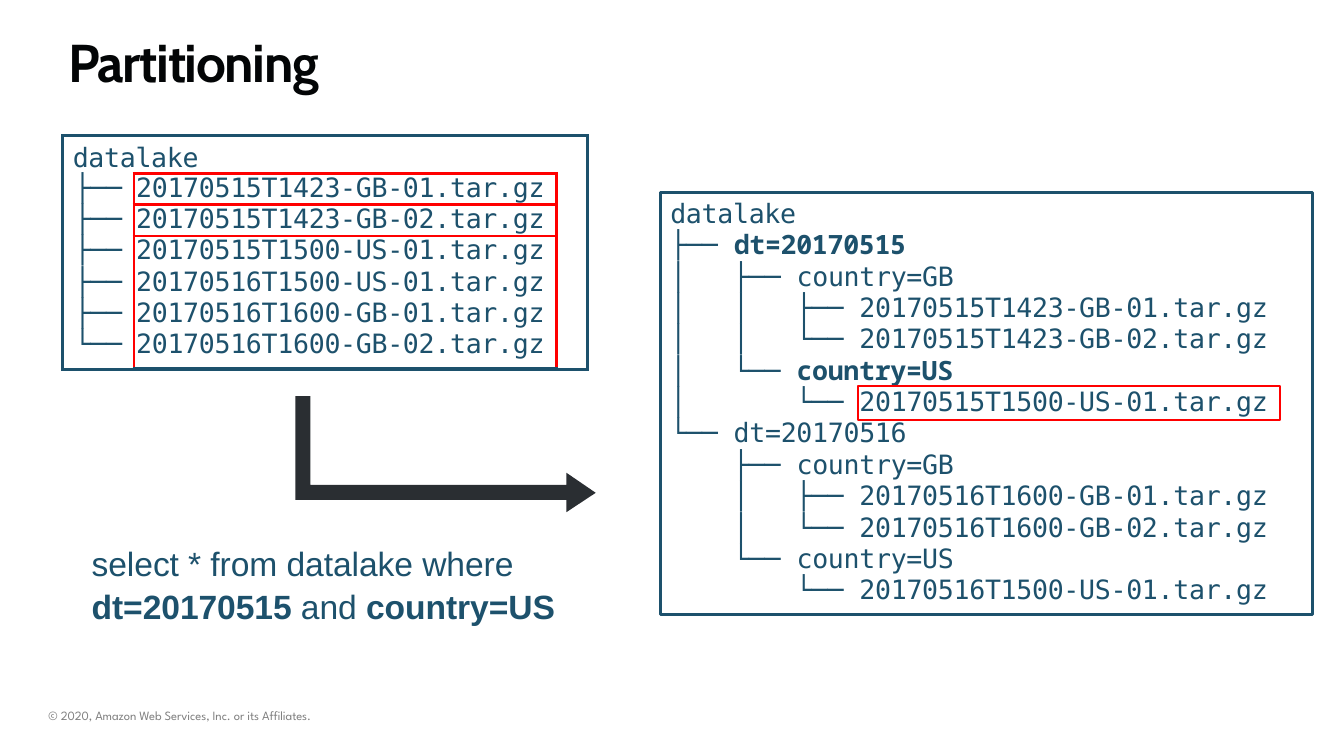
from dataclasses import dataclass

from lxml.etree import SubElement
from pptx import Presentation
from pptx.dml.color import RGBColor
from pptx.enum.shapes import MSO_SHAPE
from pptx.enum.text import MSO_ANCHOR, MSO_AUTO_SIZE, PP_ALIGN
from pptx.oxml.ns import qn
from pptx.util import Pt


@dataclass(frozen=True)
class Theme:
    navy: str = "1D516C"
    red: str = "FF0000"
    black: str = "030506"
    charcoal: str = "2A2E32"
    grey: str = "7F7F7F"
    title_size: float = 38
    query_size: float = 24
    code_size: float = 19
    footer_size: float = 9
    title_font: str = "Cabin"
    body_font: str = "Arial"
    code_font: str = "DejaVu Sans Mono"
    bold_code_font: str = "Noto Sans Mono"
    footer_font: str = "League Spartan"


THEME = Theme()
LINE_PITCH = 22.4
TREE_LEFT, TREE_TOP, TREE_STEP = 478.8, 139, 44.9
NO_STYLE = "{2D5ABB26-0587-4C30-8999-92F81FD0307C}"

FILES = [
    "20170515T1423-GB-01.tar.gz",
    "20170515T1423-GB-02.tar.gz",
    "20170515T1500-US-01.tar.gz",
    "20170516T1500-US-01.tar.gz",
    "20170516T1600-GB-01.tar.gz",
    "20170516T1600-GB-02.tar.gz",
]

# Blocks: first row, level, width, then lines of (indent, branch, name, bold)
TREE_BLOCKS = [
    (0, 0, 170, [(0, "", "datalake", False), (0, "├── ", "dt=20170515", True)]),
    (2, 0, 428.4, [
        (0, "│\t├── ", "country=GB", False),
        (0, "│\t│\t├── ", FILES[0], False),
        (0, "│\t│\t└── ", FILES[1], False),
        (0, "│", "", False),
        (0, "│", "", False),
    ]),
    (5, 1, 383.8, [(0, "└── ", "country=US", True), (1, "└── ", FILES[2], False)]),
    (7, 0, 203.8, [(0, "└── ", "dt=20170516", False), (1, "├── ", "country=GB", False)]),
    (9, 1, 383.8, [
        (0, "│\t├── ", FILES[4], False),
        (0, "│\t└── ", FILES[5], False),
        (0, "└── ", "country=US", False),
        (1, "└── ", FILES[3], False),
    ]),
]


def set_values(target, values):
    for name, value in values.items():
        setattr(target, name, value)


def add_run(paragraph, text, font, size, color, bold=False, spacing=0.0):
    run = paragraph.add_run()
    run.text = text
    set_values(run.font, {"name": font, "size": Pt(size), "bold": bold})
    run.font.color.rgb = RGBColor.from_string(color)
    run.font._element.set("spc", str(round(spacing * 100)))


def add_code(paragraph, text, bold=False, spacing=-0.2):
    font = THEME.bold_code_font if bold else THEME.code_font
    add_run(paragraph, text, font, THEME.code_size, THEME.navy, bold, spacing)


def format_frame(frame, top_inset):
    set_values(frame, {
        "word_wrap": True, "auto_size": MSO_AUTO_SIZE.SHAPE_TO_FIT_TEXT,
        "vertical_anchor": MSO_ANCHOR.TOP, "margin_left": 0, "margin_right": 0,
        "margin_top": Pt(top_inset), "margin_bottom": 0,
    })


def add_text_box(slide, left, top, width, height, top_inset=2):
    box = slide.shapes.add_textbox(Pt(left), Pt(top), Pt(width), Pt(height))
    format_frame(box.text_frame, top_inset)
    return box.text_frame


def add_title(slide, text):
    title = slide.shapes.title
    set_values(title, {"left": Pt(48.6), "top": Pt(18.7), "width": Pt(216.7), "height": Pt(47.5)})
    format_frame(title.text_frame, 2)
    paragraph = title.text_frame.paragraphs[0]
    paragraph.alignment = PP_ALIGN.LEFT
    add_run(paragraph, text, THEME.title_font, THEME.title_size, THEME.black, True, -1)


def add_frame(slide, left, top, width, height, color, line_width):
    shape = slide.shapes.add_shape(MSO_SHAPE.RECTANGLE, Pt(left), Pt(top), Pt(width), Pt(height))
    shape.shadow.inherit = False
    shape.fill.background()
    shape.line.color.rgb = RGBColor.from_string(color)
    shape.line.width = Pt(line_width)


def add_bent_arrow(slide):
    points = [(221.8, 283), (211, 283), (211, 357.1), (404.6, 357.1), (404.6, 365.8),
              (425.5, 352), (404.6, 337.7), (404.6, 346.3), (221.8, 346.3)]
    corners = [(Pt(x), Pt(y)) for x, y in points]
    builder = slide.shapes.build_freeform(*corners[0], scale=1.0)
    builder.add_line_segments(corners[1:], close=True)
    arrow = builder.convert_to_shape()
    arrow.shadow.inherit = False
    arrow.fill.solid()
    arrow.fill.fore_color.rgb = RGBColor.from_string(THEME.charcoal)
    arrow.line.fill.background()


def cell_edges(row, column, last_row):
    navy, red = (THEME.navy, 2.25), (THEME.red, 2.25)
    if row == 0:
        edges = {"L": navy, "R": navy, "T": navy}
        return edges | {"B": red} if column == 1 else edges
    edges = [{"L": navy, "R": red}, {"L": red, "R": red}, {"L": red, "R": navy}][column]
    if column == 1 and row <= 2:
        edges["T"] = red
    if column == 1 and row == 1:
        edges["B"] = red
    if row == last_row or (column == 2 and row == 1):
        edges["B"] = (THEME.navy, 3 if column == 1 else 2.25)
    return edges


def set_borders(cell, edges):
    properties = cell._tc.get_or_add_tcPr()
    for side in "LRTB":
        if side in edges:
            color, width = edges[side]
            line = SubElement(properties, qn(f"a:ln{side}"), w=str(Pt(width)))
            SubElement(SubElement(line, qn("a:solidFill")), qn("a:srgbClr"), val=color)


def fill_cell(cell, text, pitch, left=0, top=0, alignment=PP_ALIGN.LEFT):
    set_values(cell, {"margin_left": Pt(left), "margin_top": Pt(top)})
    paragraph = cell.text_frame.paragraphs[0]
    set_values(paragraph, {"alignment": alignment, "line_spacing": Pt(pitch)})
    add_code(paragraph, text)


def add_file_table(slide):
    last_row = len(FILES)
    heights = [26] + [LINE_PITCH] * (last_row - 1) + [28]
    widths = [51, 302, 22]
    frame = slide.shapes.add_table(last_row + 1, 3, Pt(44.8), Pt(96.7),
                                   Pt(sum(widths)), Pt(sum(heights)))
    table = frame.table
    set_values(table, {"first_row": False, "horz_banding": False})
    table._tbl.tblPr.find(qn("a:tableStyleId")).text = NO_STYLE
    for column, width in zip(table.columns, widths):
        column.width = Pt(width)
    for row, height in enumerate(heights):
        table.rows[row].height = Pt(height)
        for column in range(3):
            cell = table.cell(row, column)
            set_values(cell, {"margin_left": 0, "margin_right": 0,
                              "margin_top": 0, "margin_bottom": 0})
            set_borders(cell, cell_edges(row, column, last_row))
            cell.fill.background()
    table.cell(0, 0).merge(table.cell(0, 2))
    table.cell(1, 2).merge(table.cell(last_row, 2))
    fill_cell(table.cell(0, 0), "datalake", 22.6, left=7.2, top=4.5)
    for row, name in enumerate(FILES, 1):
        branch = "└──" if row == last_row else "├──"
        fill_cell(table.cell(row, 0), branch, 21.4, alignment=PP_ALIGN.CENTER)
        fill_cell(table.cell(row, 1), name, 21.4, left=1.5)


def add_tree_block(slide, first_row, level, width, lines):
    frame = add_text_box(slide, TREE_LEFT + level * TREE_STEP, TREE_TOP + first_row * LINE_PITCH,
                         width, len(lines) * LINE_PITCH + 2)
    for index, (indent, branch, name, bold) in enumerate(lines):
        paragraph = frame.add_paragraph() if index else frame.paragraphs[0]
        properties = paragraph._p.get_or_add_pPr()
        properties.set("marL", str(Pt(indent * TREE_STEP)))
        if "\t" in branch:
            tabs = SubElement(properties, qn("a:tabLst"))
            for stop in range(1, branch.count("\t") + 1):
                SubElement(tabs, qn("a:tab"), pos=str(Pt(stop * TREE_STEP)), algn="l")
        paragraph.line_spacing = Pt(LINE_PITCH)
        if branch:
            add_code(paragraph, branch, spacing=-0.1)
        if name:
            add_code(paragraph, name, bold)


def add_query(slide):
    frame = add_text_box(slide, 65.5, 385.2, 334.1, 59.8, top_inset=2.5)
    lines = [
        [("select * from datalake where", False)],
        [("dt=20170515 ", True), ("and ", False), ("country=US", True)],
    ]
    for index, runs in enumerate(lines):
        paragraph = frame.add_paragraph() if index else frame.paragraphs[0]
        if index:
            paragraph.space_before = Pt(1.7)
        for text, bold in runs:
            add_run(paragraph, text, THEME.body_font, THEME.query_size, THEME.navy, bold, -0.05)


def main():
    presentation = Presentation()
    set_values(presentation, {"slide_width": Pt(960), "slide_height": Pt(540)})
    slide = presentation.slides.add_slide(presentation.slide_layouts[5])
    add_title(slide, "Partitioning")
    # Flat layout, arrow and query
    add_file_table(slide)
    add_bent_arrow(slide)
    add_query(slide)
    # Partitioned tree with the matching file framed
    add_frame(slide, 471.6, 137.5, 465.8, 301.7, THEME.navy, 2)
    for block in TREE_BLOCKS:
        add_tree_block(slide, *block)
    add_frame(slide, 612.7, 275.8, 301.7, 24.5, THEME.red, 1.5)
    # Footer
    footer = add_text_box(slide, 34.6, 503.3, 217.4, 13)
    add_run(footer.paragraphs[0], "© 2020, Amazon Web Services, Inc. or its Affiliates.",
            THEME.footer_font, THEME.footer_size, THEME.grey, spacing=-0.07)
    presentation.save("out.pptx")


if __name__ == "__main__":
    main()
